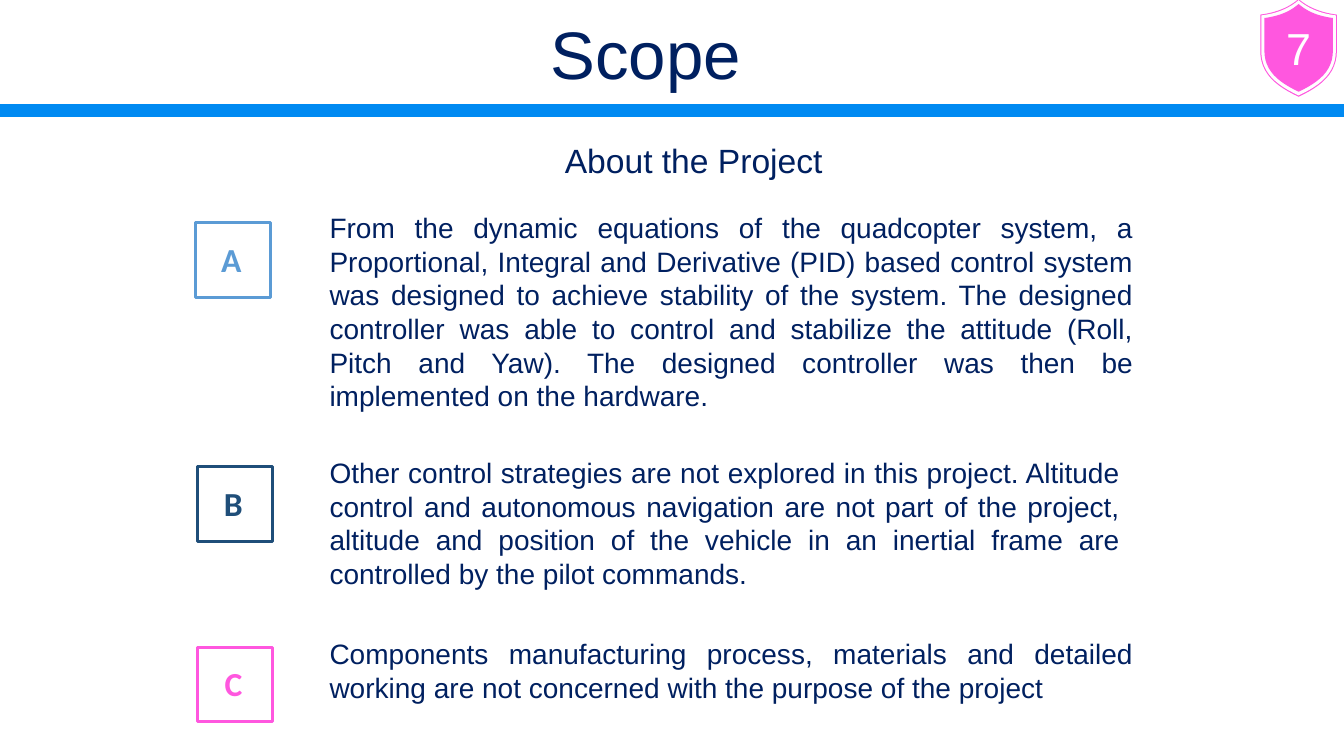
from pptx import Presentation
from pptx.dml.color import RGBColor
from pptx.enum.shapes import MSO_SHAPE
from pptx.enum.text import PP_ALIGN
from pptx.util import Inches, Pt

NAVY, BLUE, PINK, WHITE = "002060", "008AF2", "FF57DF", "FEFEFE"
STEPS = 12


def color(code):
    return RGBColor.from_string(code)


def add_text(slide, box, text, size, code=NAVY, font="Arial",
             align=PP_ALIGN.CENTER, bold=False):
    frame = slide.shapes.add_textbox(*map(Inches, box)).text_frame
    frame.word_wrap = True
    frame.text = text
    para = frame.paragraphs[0]
    para.alignment = align
    face = para.runs[0].font
    face.name, face.size, face.bold = font, Pt(size), bold
    face.color.rgb = color(code)


def paint(shape, fill=None, line=None, width=1):
    shape.shadow.inherit = False
    if fill:
        shape.fill.solid()
        shape.fill.fore_color.rgb = color(fill)
    else:
        shape.fill.background()
    if line:
        shape.line.color.rgb = color(line)
        shape.line.width = Pt(width)
    else:
        shape.line.fill.background()


def add_rect(slide, box, **style):
    rect = slide.shapes.add_shape(MSO_SHAPE.RECTANGLE, *map(Inches, box))
    paint(rect, **style)


def curve(a, b, c, d):
    """Points along a cubic curve."""
    points = []
    for step in range(STEPS + 1):
        t = step / STEPS
        u = 1 - t
        points.append(tuple(
            u**3 * p + 3 * u * u * t * q + 3 * u * t * t * r + t**3 * s
            for p, q, r, s in zip(a, b, c, d)))
    return points


def add_shield(slide, box, fill):
    left, top, width, height = box
    # Right half in a unit box, then its mirror
    half = (curve((0.5, 0), (0.63, 0.09), (0.8, 0.14), (1, 0.16))
            + curve((1, 0.53), (1, 0.76), (0.8, 0.89), (0.5, 1)))
    outline = half + [(1 - x, y) for x, y in reversed(half[1:-1])]
    points = [(Inches(left + x * width), Inches(top + y * height))
              for x, y in outline]
    form = slide.shapes.build_freeform(*points[0])
    form.add_line_segments(points[1:], close=True)
    paint(form.convert_to_shape(), fill=fill)


def add_badge(slide, box, number):
    left, top, width, height = box
    for inset, fill in ((0, PINK), (0.01, WHITE), (0.04, PINK)):
        add_shield(slide, (left + inset, top + inset * 1.25,
                           width - 2 * inset, height - 2.5 * inset), fill)
    add_text(slide, (left - 0.14, top + 0.17, width + 0.28, 0.64),
             number, 32, "FFFFFF")


def add_header(slide, box):
    left, top, width, height = box
    add_text(slide, (left + 5.36, top + 0.07, 2.15, 0.91), "Scope", 48,
             align=PP_ALIGN.LEFT)
    add_badge(slide, (left + width - 0.83, top - 0.01, 0.76, 0.97), "7")
    add_rect(slide, (left, top + height - 0.11, width, 0.11),
             fill=BLUE, line=BLUE)


def add_item(slide, box, mark, letter, code, text):
    # Lettered square
    x, y = mark
    add_rect(slide, (x, y, 0.74, 0.74), line=code, width=2)
    add_text(slide, (x, y + 0.11, 0.71, 0.5), letter, 24, code,
             "Calibri", bold=True)
    # Statement
    add_text(slide, box, text, 20, align=PP_ALIGN.JUSTIFY)


ITEMS = [
    ((3.17, 2.04, 8.17, 2.12), (1.94, 2.21), "A", "5B9BD5",
     "From the dynamic equations of the quadcopter system, a Proportional, "
     "Integral and Derivative (PID) based control system was designed to "
     "achieve stability of the system. The designed controller was able to "
     "control and stabilize the attitude (Roll, Pitch and Yaw). The designed "
     "controller was then be implemented on the hardware."),
    ((3.17, 4.47, 8.04, 1.45), (1.96, 4.63), "B", "1F4E79",
     "Other control strategies are not explored in this project. Altitude "
     "control and autonomous navigation are not part of the project, "
     "altitude and position of the vehicle in an inertial frame are "
     "controlled by the pilot commands."),
    ((3.17, 6.27, 8.17, 0.77), (1.96, 6.42), "C", PINK,
     "Components manufacturing process, materials and detailed working are "
     "not concerned with the purpose of the project"),
]


def main():
    deck = Presentation()
    deck.slide_width, deck.slide_height = Inches(13.33), Inches(7.5)
    slide = deck.slides.add_slide(deck.slide_layouts[6])
    add_header(slide, (0, 0, 13.33, 1.15))
    add_text(slide, (2.42, 1.34, 8.92, 0.5), "About the Project", 24)
    for item in ITEMS:
        add_item(slide, *item)
    deck.save("out.pptx")


if __name__ == "__main__":
    main()
